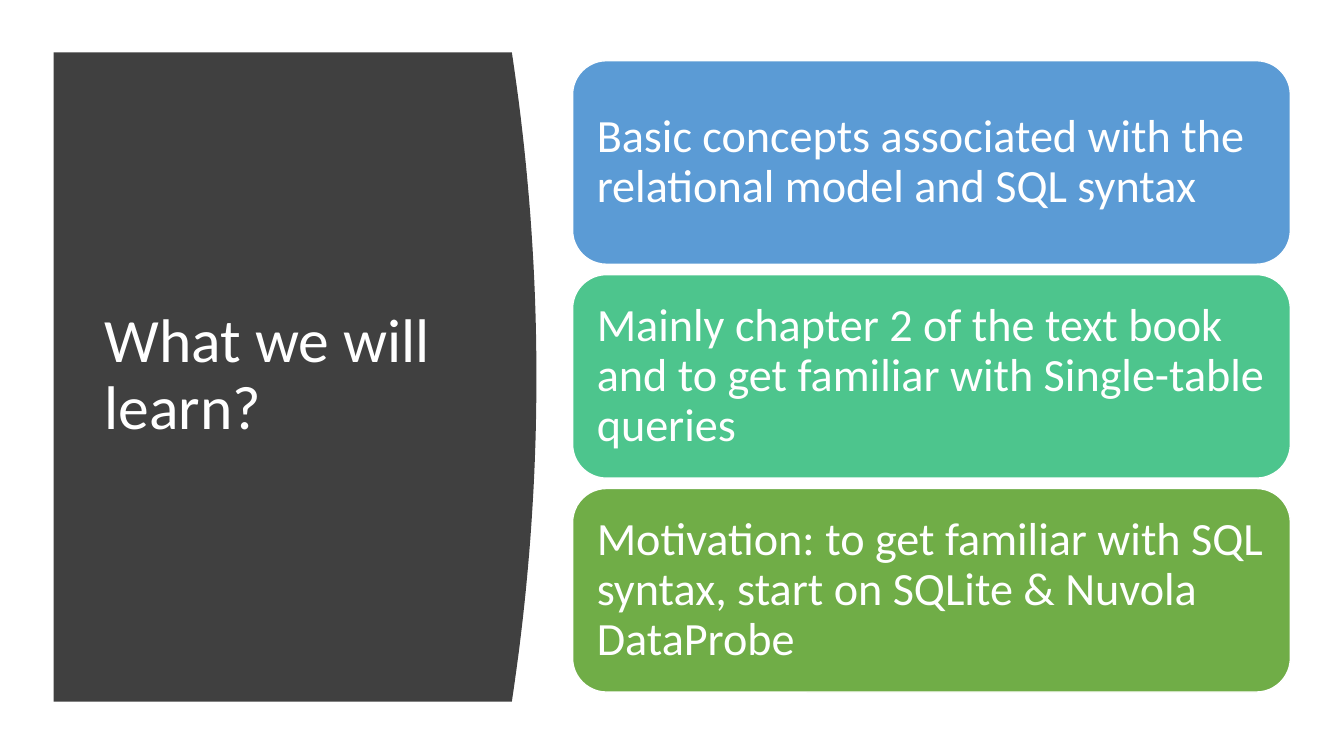
from pptx import Presentation
from pptx import util as u
from pptx.dml.color import RGBColor
from pptx.enum import shapes, text


def color(value):
    return RGBColor.from_string(value)


def write(shape, words, size, margin):
    frame = shape.text_frame
    frame.word_wrap = True
    frame.vertical_anchor = text.MSO_ANCHOR.MIDDLE
    frame.margin_left = frame.margin_right = u.Cm(margin)
    frame.margin_top = frame.margin_bottom = u.Cm(margin)
    paragraph = frame.paragraphs[0]
    paragraph.alignment = text.PP_ALIGN.LEFT
    paragraph.line_spacing = 0.9
    run = paragraph.add_run()
    run.text = words
    run.font.name = "Calibri"
    run.font.size = u.Pt(size)
    run.font.color.rgb = color("FFFFFF")


presentation = Presentation()
presentation.slide_width = u.Cm(33.87)
presentation.slide_height = u.Cm(19.05)
slide = presentation.slides.add_slide(presentation.slide_layouts[6])

left, top, bottom, edge, bulge = 1.35, 1.32, 17.68, 12.9, 0.62
steps = 40
curve = []
for step in range(steps + 1):
    position = step / steps
    x = edge + bulge * (1 - (2 * position - 1) ** 2)
    y = top + (bottom - top) * position
    curve.append((u.Cm(x), u.Cm(y)))
builder = slide.shapes.build_freeform(u.Cm(left), u.Cm(top))
builder.add_line_segments(curve + [(u.Cm(left), u.Cm(bottom))], close=True)
panel = builder.convert_to_shape()
panel.shadow.inherit = False
panel.fill.solid()
panel.fill.fore_color.rgb = color("404040")
panel.line.fill.background()

title = slide.shapes.add_textbox(u.Cm(2.39), u.Cm(2.82), u.Cm(9.5), u.Cm(13.31))
write(title, "What we will learn?", 44, 0.25)

topics = [
    ("Basic concepts associated with the relational model and SQL syntax", "5B9BD5"),
    ("Mainly chapter 2 of the text book and to get familiar with Single-table queries", "4DC58D"),
    ("Motivation: to get familiar with SQL syntax, start on SQLite & Nuvola DataProbe", "70AD47"),
]
first_top, pitch = 1.53, 5.39
for index, (words, fill) in enumerate(topics):
    card = slide.shapes.add_shape(
        shapes.MSO_SHAPE.ROUNDED_RECTANGLE,
        u.Cm(14.43), u.Cm(first_top + index * pitch), u.Cm(18.09), u.Cm(5.13))
    card.shadow.inherit = False
    card.fill.solid()
    card.fill.fore_color.rgb = color(fill)
    card.line.color.rgb = color("FFFFFF")
    card.line.width = u.Pt(1)
    write(card, words, 33, 0.36)

presentation.save("out.pptx")
